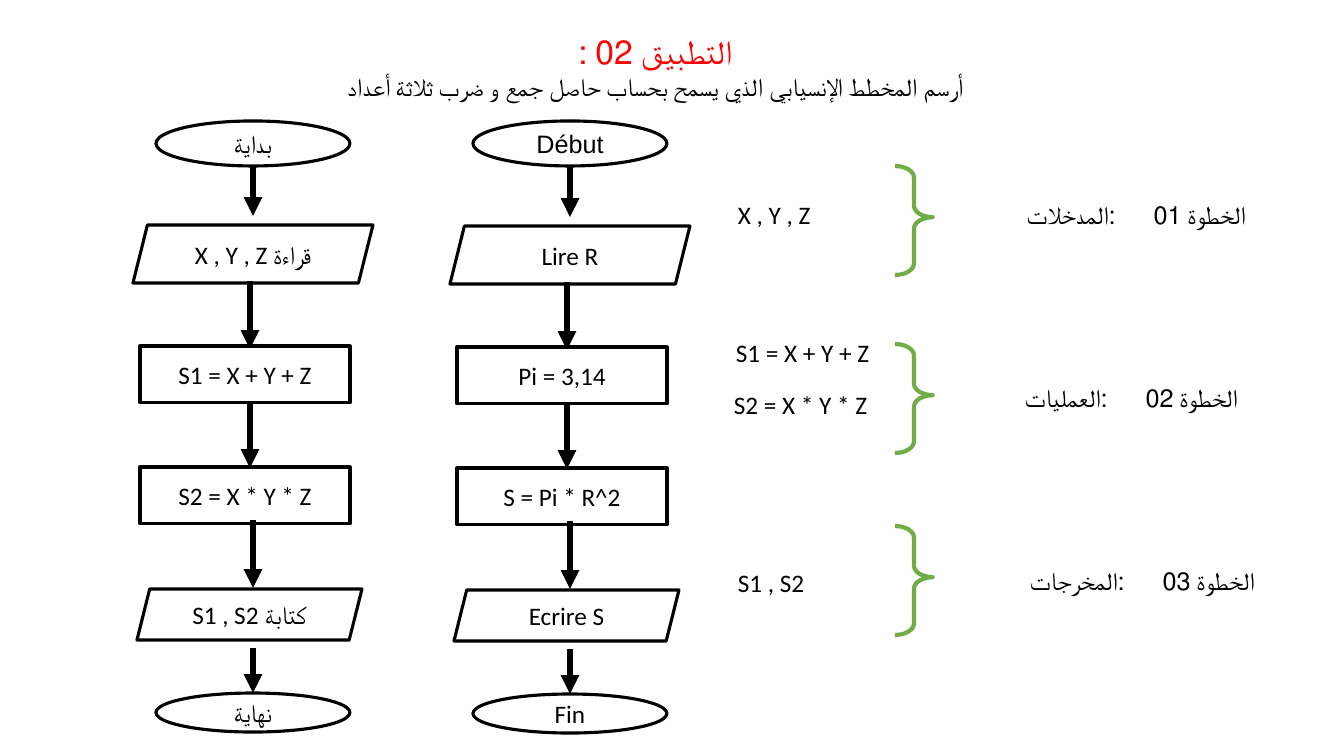
import pptx
import pptx.dml.color
import pptx.enum.shapes
import pptx.enum.text
import pptx.oxml
import pptx.oxml.ns
import pptx.util
from lxml import etree

PX = 914400 / 100.8
COLORS = {"ink": "000000", "paper": "FFFFFF", "title": "FF0000", "brace": "70AD47"}
SHAPE = pptx.enum.shapes.MSO_SHAPE
ALIGN = pptx.enum.text.PP_ALIGN
qn = pptx.oxml.ns.qn


def px(n):
    return pptx.util.Emu(round(n * PX))


def rgb(name):
    return pptx.dml.color.RGBColor.from_string(COLORS[name])


class Board:
    """Style and current slide, with one method per kind of element."""

    def __init__(self, prs):
        self.slide = prs.slides.add_slide(prs.slide_layouts[6])
        self.shapes = self.slide.shapes

    def start_group(self):
        self.shapes = self.slide.shapes.add_group_shape().shapes

    def fill_paragraph(self, p, text, font="Calibri", size=18, color="ink",
                       align=ALIGN.LEFT, rtl=False, tabs=()):
        pPr = p._p.get_or_add_pPr()
        if rtl:
            pPr.set("rtl", "1")
        if tabs:
            tab_list = etree.SubElement(pPr, qn("a:tabLst"))
            for pos in tabs:
                etree.SubElement(tab_list, qn("a:tab"), pos=str(px(pos)), algn="l")
        p.alignment = align
        r = p.add_run()
        r.text = text
        for name, value in {"name": font, "size": pptx.util.Pt(size)}.items():
            setattr(r.font, name, value)
        r.font.color.rgb = rgb(color)

    def text(self, box, paragraphs, **frame):
        tf = self.shapes.add_textbox(*map(px, box)).text_frame
        auto = pptx.enum.text.MSO_AUTO_SIZE.SHAPE_TO_FIT_TEXT
        for name, value in {"word_wrap": True, "auto_size": auto, **frame}.items():
            setattr(tf, name, value)
        for i, style in enumerate(paragraphs):
            p = tf.add_paragraph() if i else tf.paragraphs[0]
            self.fill_paragraph(p, **style)

    def outline(self, kind, box, color, width):
        sp = self.shapes.add_shape(kind, *map(px, box))
        sp.shadow.inherit = False
        sp.line.color.rgb = rgb(color)
        sp.line.width = pptx.util.Pt(width)
        return sp

    def brace(self, box):
        sp = self.outline(SHAPE.RIGHT_BRACE, box, "brace", 3)
        sp.fill.background()
        sp.adjustments[0], sp.adjustments[1] = 0.3, 0.47

    def node(self, kind, box, text, **style):
        sp = self.outline(kind, box, "ink", 2.25)
        sp.fill.solid()
        sp.fill.fore_color.rgb = rgb("paper")
        tf = sp.text_frame
        tf.vertical_anchor = pptx.enum.text.MSO_ANCHOR.MIDDLE
        self.fill_paragraph(tf.paragraphs[0], text, align=ALIGN.CENTER, **style)

    def arrow(self, x, top, bottom):
        straight = pptx.enum.shapes.MSO_CONNECTOR.STRAIGHT
        cxn = self.shapes.add_connector(straight, *map(px, (x, top, x, bottom)))
        cxn.line.color.rgb = rgb("ink")
        cxn.line.width = pptx.util.Pt(4.5)
        etree.SubElement(cxn.line._get_or_add_ln(), qn("a:tailEnd"), type="triangle")
        etree.SubElement(cxn._element.spPr, qn("a:effectLst"))

    def flowchart(self, dx, dy, start, read, first, second, output, end, end_font):
        self.start_group()
        mid, side = dx + 253, dx + 250
        self.node(SHAPE.OVAL, (dx + 156, 121, 194, 45), start, font="Arial")
        self.arrow(mid, dy + 165, dy + 216)
        self.node(SHAPE.OVAL, (dx + 156, dy + 693, 194, 39), end, font=end_font)
        self.arrow(mid, dy + 648, dy + 693)
        self.node(SHAPE.PARALLELOGRAM, (dx + 133, dy + 225, 240, 58), read, rtl=True)
        self.node(SHAPE.PARALLELOGRAM, (dx + 137, dy + 589, 225, 51), output, rtl=True)
        for top in (281, 400):
            self.arrow(side, dy + top, dy + top + 68)
        for top, formula in ((346, first), (467, second)):
            self.node(SHAPE.RECTANGLE, (dx + 140, dy + top, 210, 57), formula)
        self.arrow(mid, dy + 520, dy + 588)


def main():
    prs = pptx.Presentation()
    prs.slide_width, prs.slide_height = px(1344), px(756)
    board = Board(prs)

    # Heading
    heading = {"font": "Arial", "align": ALIGN.CENTER, "rtl": True}
    board.text((156, 26, 999, 82), [
        {"text": "التطبيق 02 :", "size": 24, "color": "title", **heading},
        {"text": "أرسم المخطط الإنسيابي الذي يسمح بحساب حاصل جمع و ضرب ثلاثة أعداد",
         **heading},
    ])

    # Steps: number, colon and name on tab stops measured from the right
    steps = [("01", "المدخلات", 132, 166), ("02", "العمليات", 140, 344),
             ("03", "المخرجات", 123, 526)]
    for i, (number, name, inset, brace_top) in enumerate(steps):
        label = {"text": f"الخطوة {number}\t:\t{name}", "font": "Arial",
                 "align": ALIGN.RIGHT, "rtl": True, "tabs": (137, 182)}
        board.text((958, 194 + 183 * i, 420, 40), [label],
                   margin_left=0, margin_right=px(inset))
        board.brace((895, brace_top, 38, 109))

    # Values of each step
    for x, y, width, value in [(728, 194, 143, "X , Y , Z"),
                               (726, 332, 164, "S1 = X + Y + Z"),
                               (724, 384, 171, "S2 = X * Y * Z"),
                               (728, 562, 143, "S1 , S2")]:
        board.text((x, y, width, 40), [{"text": value}])

    # Flowcharts
    board.flowchart(0, 0, "بداية", "قراءة X , Y , Z", "S1 = X + Y + Z",
                    "S2 = X * Y * Z", "كتابة S1 , S2", "نهاية", "Arial")
    board.flowchart(317, 1, "Début", "Lire R", "Pi = 3,14",
                    "S = Pi * R^2", "Ecrire S", "Fin", "Calibri")

    prs.save("out.pptx")


if __name__ == "__main__":
    main()
